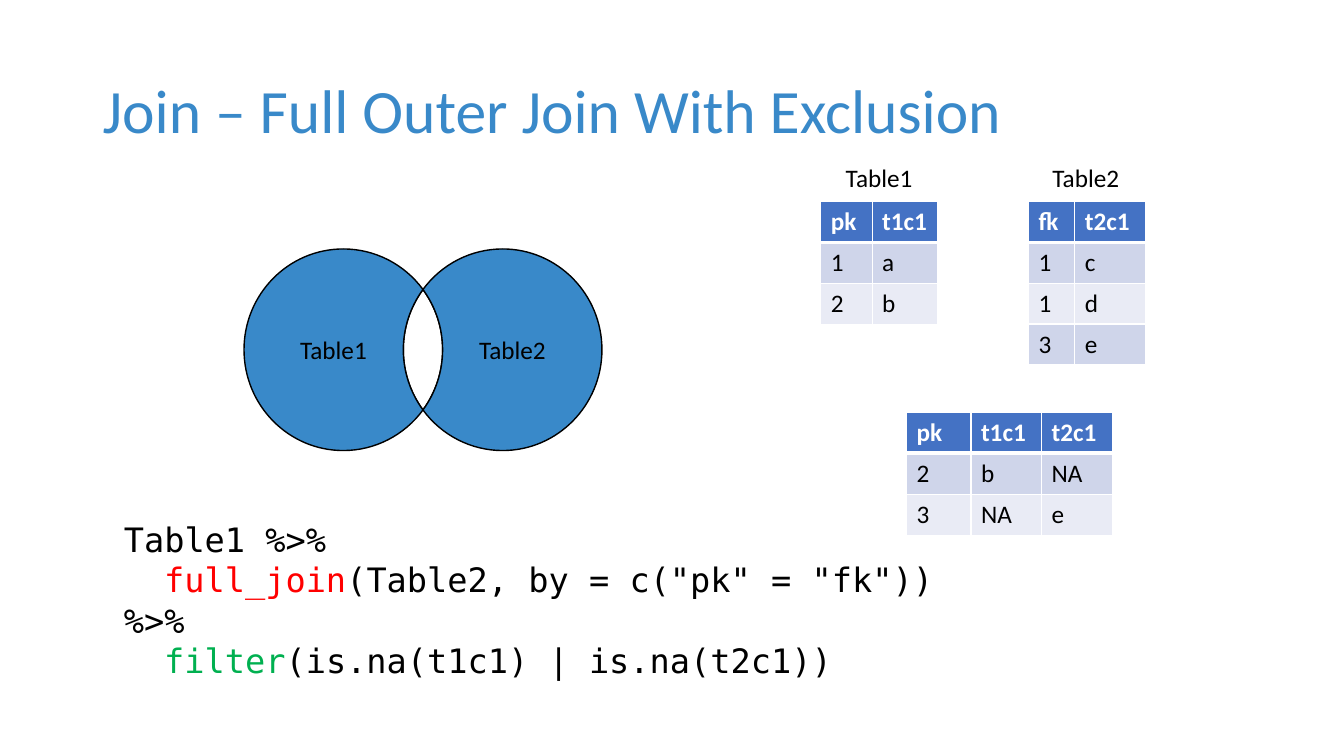
from math import acos, cos, degrees, radians, sin, tan
from lxml import etree
from pptx import Presentation
from pptx.dml.color import RGBColor as RGB
from pptx.enum.text import MSO_ANCHOR as Anchor, PP_ALIGN as Align
from pptx.oxml import parse_xml
from pptx.oxml.ns import nsdecls, qn
from pptx.util import Inches, Pt

BLUE = RGB(0x39, 0x89, 0xC9)
HEAD = RGB(0x44, 0x72, 0xC4)
BANDS = [RGB(0xE9, 0xEB, 0xF5), RGB(0xCF, 0xD5, 0xEA)]
BLACK = RGB(0, 0, 0)
WHITE = RGB(0xFF, 0xFF, 0xFF)
RED = RGB(0xFF, 0, 0)
GREEN = RGB(0, 0xB0, 0x50)
RULE = (f'<a:lnB {nsdecls("a")} w="{Pt(3)}"><a:solidFill>'
        f'<a:srgbClr val="{WHITE}"/></a:solidFill></a:lnB>')


def style(para, size=18, color=BLACK, name="Calibri", bold=False):
    font = para.font
    font.size, font.name, font.bold = Pt(size), name, bold
    font.color.rgb = color


def arc(mid, *stops):
    spots = []
    for start, end in zip(stops, stops[1:]):
        a, b = radians(start), radians(end)
        k = 4 / 3 * tan((b - a) / 4)
        spots += [(cos(a) - k * sin(a), sin(a) + k * cos(a)),
                  (cos(b) + k * sin(b), sin(b) - k * cos(b)),
                  (cos(b), sin(b))]
    return [(Inches(mid + 0.985 * x), Inches(3.47 + y)) for x, y in spots]


deck = Presentation()
deck.slide_width, deck.slide_height = Inches(13.33), Inches(7.5)
slide = deck.slides.add_slide(deck.slide_layouts[6])
shapes = slide.shapes

box = shapes.add_textbox(Inches(0.92), Inches(0.4), Inches(11.5), Inches(1.45))
frame = box.text_frame
frame.word_wrap = True
frame.vertical_anchor = Anchor.MIDDLE
title = frame.paragraphs[0]
title.text = "Join – Full Outer Join With Exclusion"
title.line_spacing = 0.9
style(title, 44, BLUE)

tables = [
    (8.14, 2, [0.51, 0.65], ["pk t1c1", "1 a", "2 b"]),
    (10.2, 2, [0.46, 0.7], ["fk t2c1", "1 c", "1 d", "3 e"]),
    (8.99, 4.09, [0.64, 0.7, 0.7], ["pk t1c1 t2c1", "2 b NA", "3 NA e"]),
]
for left, top, widths, rows in tables:
    table = shapes.add_table(
        len(rows), len(widths), Inches(left), Inches(top),
        Inches(sum(widths)), Inches(0.4 * len(rows) + 0.02)).table
    for col, width in zip(table.columns, widths):
        col.width = Inches(width)
    for r, row in enumerate(rows):
        for c, word in enumerate(row.split()):
            cell = table.cell(r, c)
            cell.fill.solid()
            cell.fill.fore_color.rgb = BANDS[r % 2] if r else HEAD
            if r == 0:
                cell._tc.get_or_add_tcPr().insert(0, parse_xml(RULE))
            cell.text = word
            style(cell.text_frame.paragraphs[0],
                  color=BLACK if r else WHITE, bold=r == 0)

for left, name in [(8.29, "Table1"), (10.34, "Table2")]:
    box = shapes.add_textbox(Inches(left), Inches(1.56), Inches(0.87), Inches(0.4))
    box.text_frame.word_wrap = False
    label = box.text_frame.paragraphs[0]
    label.text = name
    style(label)

ONE, TWO = 3.405, 4.985
half = degrees(acos((TWO - ONE) / 2 / 0.985))
parts = [
    ("", arc(ONE, -half, 0, half) + arc(TWO, 180 - half, 180, 180 + half)),
    ("Table1", arc(ONE, half, 90, 180, 270, 360 - half)
     + arc(TWO, 180 + half, 180, 180 - half)),
    ("Table2", arc(TWO, 180 + half, 270, 360, 450, 540 - half)
     + arc(ONE, half, 0, -half)),
]
for name, spots in parts:
    form = shapes.build_freeform(*spots[-1])
    form.add_line_segments(spots, close=True)
    part = form.convert_to_shape()
    lines = list(part._element.iter(qn("a:lnTo")))
    for i in range(0, len(spots), 3):
        curve = etree.Element(qn("a:cubicBezTo"))
        lines[i].addprevious(curve)
        for line in lines[i:i + 3]:
            curve.append(line[0])
            line.getparent().remove(line)
    part.shadow.inherit = False
    part.line.color.rgb = BLACK
    part.line.width = Pt(1)
    if name:
        part.fill.solid()
        part.fill.fore_color.rgb = BLUE
        part.text_frame.vertical_anchor = Anchor.MIDDLE
        label = part.text_frame.paragraphs[0]
        label.text = name
        label.alignment = Align.CENTER
        style(label)
    else:
        part.fill.background()

box = shapes.add_textbox(Inches(1.13), Inches(5.1), Inches(8.38), Inches(1.31))
frame = box.text_frame
frame.word_wrap = True
code = [
    ("", "Table1 %>%", BLACK),
    ("full_join", '(Table2, by = c("pk" = "fk")) %>%', RED),
    ("filter", "(is.na(t1c1) | is.na(t2c1))", GREEN),
]
for i, (verb, rest, color) in enumerate(code):
    line = frame.add_paragraph() if i else frame.paragraphs[0]
    style(line, 24, name="DejaVu Sans Mono")
    if verb:
        line._p.get_or_add_pPr().set("indent", str(Inches(0.4)))
        run = line.add_run()
        run.text = verb
        run.font.color.rgb = color
    line.add_run().text = rest

deck.save("out.pptx")
